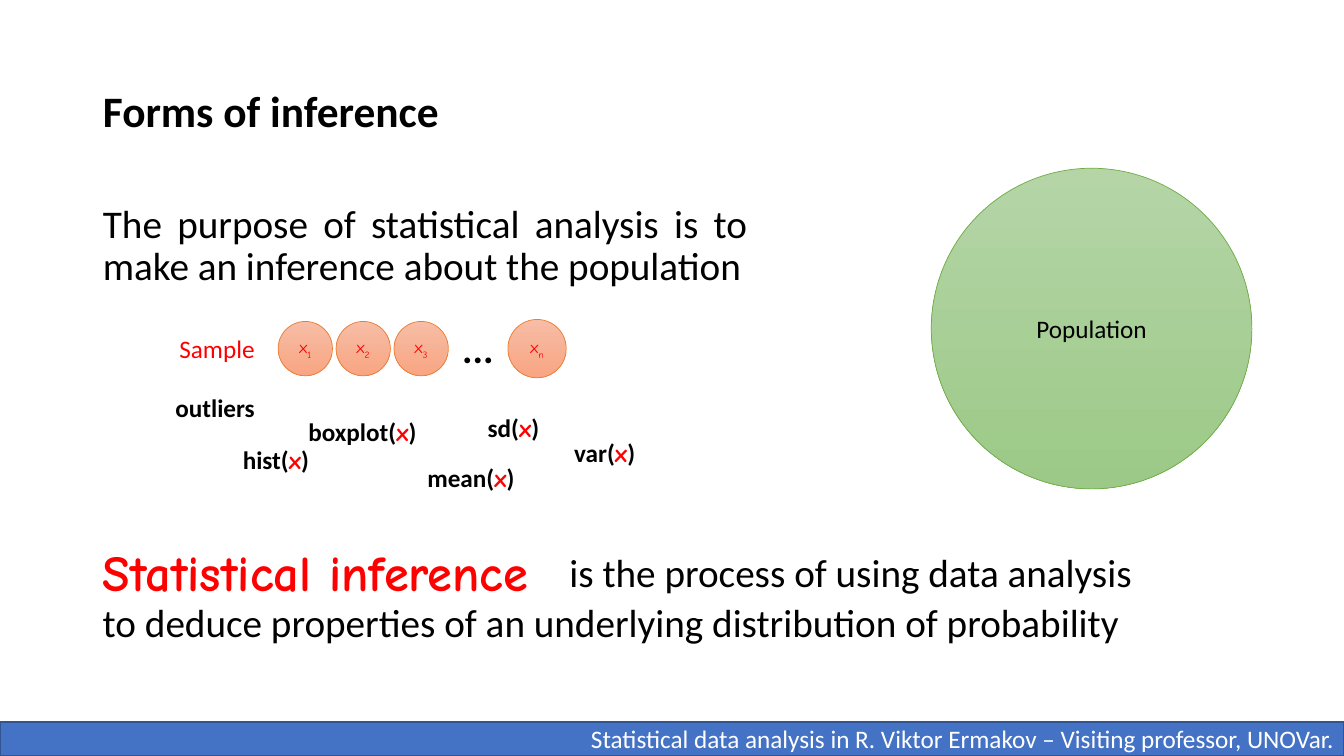
"""Build the slide on forms of statistical inference."""
from pptx import Presentation
from pptx.dml.color import RGBColor
from pptx.enum.shapes import MSO_SHAPE as SHAPE
from pptx.enum.text import MSO_ANCHOR as ANCHOR, MSO_AUTO_SIZE as AUTO, PP_ALIGN as ALIGN
from pptx.oxml.ns import qn
from pptx.util import Cm, Pt
from lxml.etree import SubElement

BLACK = RGBColor(0x00, 0x00, 0x00)
WHITE = RGBColor(0xFF, 0xFF, 0xFF)
RED = RGBColor(0xFF, 0x00, 0x00)
BLUE = RGBColor(0x44, 0x72, 0xC4)
DARK_BLUE = RGBColor(0x32, 0x54, 0x91)
GREEN = RGBColor(0x70, 0xAD, 0x47)
GREEN_FILL = RGBColor(0xB5, 0xD5, 0xA7), RGBColor(0x9C, 0xC9, 0x87)
ORANGE = RGBColor(0xED, 0x7D, 0x31)
ORANGE_FILL = RGBColor(0xF7, 0xBD, 0xA5), RGBColor(0xF8, 0xA5, 0x82)


class InferenceSlide:
    """Hold the style and the current slide."""

    sans = "Calibri"
    hand = "Comic Neue"

    def __init__(self, prs):
        """Add a slide with a title and a body."""
        self.s = prs.slides.add_slide(prs.slide_layouts[1])

    def style(self, r, size, color=BLACK, bold=False, name=sans):
        """Format one run."""
        r.font.size, r.font.bold, r.font.name = Pt(size), bold, name
        r.font.color.rgb = color

    def place(self, sp, left, top, width, height):
        """Move and size a shape, in centimetres."""
        sp.left, sp.top, sp.width, sp.height = map(Cm, (left, top, width, height))

    def placeholder(self, sp, text, box, size, align, anchor, bold=False):
        """Fill a placeholder with one plain paragraph."""
        self.place(sp, *box)
        tf = sp.text_frame
        tf.text = text
        tf.auto_size, tf.vertical_anchor = AUTO.NONE, anchor
        p = tf.paragraphs[0]
        p.alignment, p.line_spacing = align, 0.9
        self.style(p.runs[0], size, bold=bold)
        return p

    def title(self, text):
        """Set the title."""
        self.placeholder(self.s.shapes.title, text, (2.34, 1.02, 29.21, 3.68),
                         31, ALIGN.LEFT, ANCHOR.MIDDLE, bold=True)

    def body(self, text):
        """Set the body without a bullet."""
        p = self.placeholder(self.s.placeholders[1], text, (2.34, 5.03, 16.74, 2.16),
                             28, ALIGN.JUSTIFY, ANCHOR.TOP)
        p.space_before = Pt(10)
        pPr = p._p.get_or_add_pPr()
        pPr.set("marL", "0")
        pPr.set("indent", "0")
        SubElement(pPr, qn("a:buNone"))

    def text(self, text, left, top, width, height=1.02, size=18, wrap=False, **font):
        """Add a text box with one run."""
        tf = self.s.shapes.add_textbox(Cm(left), Cm(top), Cm(width), Cm(height)).text_frame
        tf.word_wrap, tf.auto_size = wrap, AUTO.SHAPE_TO_FIT_TEXT
        p = tf.paragraphs[0]
        p.text = text
        self.style(p.runs[0], size, **font)
        return p

    def call(self, function, left, top, width):
        """Add a function call with a red argument."""
        p = self.text(f"{function}(", left, top, width, bold=True)
        for text, font in (("x", {"color": RED, "name": self.hand}), (")", {})):
            r = p.add_run()
            r.text = text
            self.style(r, 18, bold=True, **font)

    def shape(self, kind, text, box, line, weight, align, size=18, **font):
        """Add a preset shape with one run."""
        sp = self.s.shapes.add_shape(kind, *map(Cm, box))
        sp.shadow.inherit = False
        sp.line.color.rgb, sp.line.width = line, Pt(weight)
        tf = sp.text_frame
        tf.vertical_anchor = ANCHOR.MIDDLE
        p = tf.paragraphs[0]
        p.text, p.alignment = text, align
        self.style(p.runs[0], size, **font)
        return sp

    def circle(self, text, left, top, diameter, line, fill, **font):
        """Add a circle with a vertical gradient."""
        sp = self.shape(SHAPE.OVAL, text, (left, top, diameter, diameter), line, 0.5,
                        ALIGN.CENTER, **font)
        sp.fill.gradient()
        sp.fill.gradient_angle = 270
        for stop, color in zip(sp.fill.gradient_stops, fill):
            stop.color.rgb = color
        return sp

    def observation(self, index, left, top, diameter):
        """Add a sample circle with a subscript."""
        font = {"size": 12, "color": RED, "name": self.hand}
        sp = self.circle("x", left, top, diameter, ORANGE, ORANGE_FILL, **font)
        r = sp.text_frame.paragraphs[0].add_run()
        r.text = index
        self.style(r, **font)
        r._r.get_or_add_rPr().set("baseline", "-25000")

    def footer(self, text):
        """Add the bar at the bottom."""
        sp = self.shape(SHAPE.RECTANGLE, text, (0, 18.19, 33.87, 0.86), DARK_BLUE, 1,
                        ALIGN.RIGHT, color=WHITE)
        sp.fill.solid()
        sp.fill.fore_color.rgb = BLUE


def main():
    """Build and save the slide."""
    prs = Presentation()
    prs.slide_width, prs.slide_height = Cm(33.87), Cm(19.05)
    s = InferenceSlide(prs)
    s.title("Forms of inference")
    s.body("The purpose of statistical analysis is to make an inference about the population")
    s.footer("Statistical data analysis in R. Viktor Ermakov – Visiting professor, UNOVar.")
    s.circle("Population", 23.47, 4.24, 8.08, GREEN, GREEN_FILL)
    s.text("is the process of using data analysis", 14.1, 13.69, 15.29, 1.45, 28, True)
    s.text("Statistical inference", 2.34, 13.51, 12.34, 1.8, 36, True,
           color=RED, bold=True, name=s.hand)
    for i in range(3):
        s.observation(str(i + 1), 7.01 + 1.46 * i, 8.1, 1.37)
    s.observation("n", 12.8, 8.05, 1.47)
    s.text("...", 11.4, 8.05, 1.32, 1.45, 28, bold=True)
    s.text("Sample", 4.27, 8.28, 2.44, color=RED)
    for function, left, top, width in (
        ("sd", 12.04, 10.26, 1.93),
        ("var", 14.22, 10.9, 2.16),
        ("mean", 10.52, 11.53, 2.82),
        ("hist", 5.87, 11.07, 2.29),
        ("boxplot", 7.52, 10.36, 3.35),
    ):
        s.call(function, left, top, width)
    s.text("outliers", 4.17, 9.75, 2.51, bold=True)
    s.text("to deduce properties of an underlying distribution of probability",
           2.34, 14.96, 26.9, 1.45, 28, True)
    prs.save("out.pptx")


if __name__ == "__main__":
    main()
